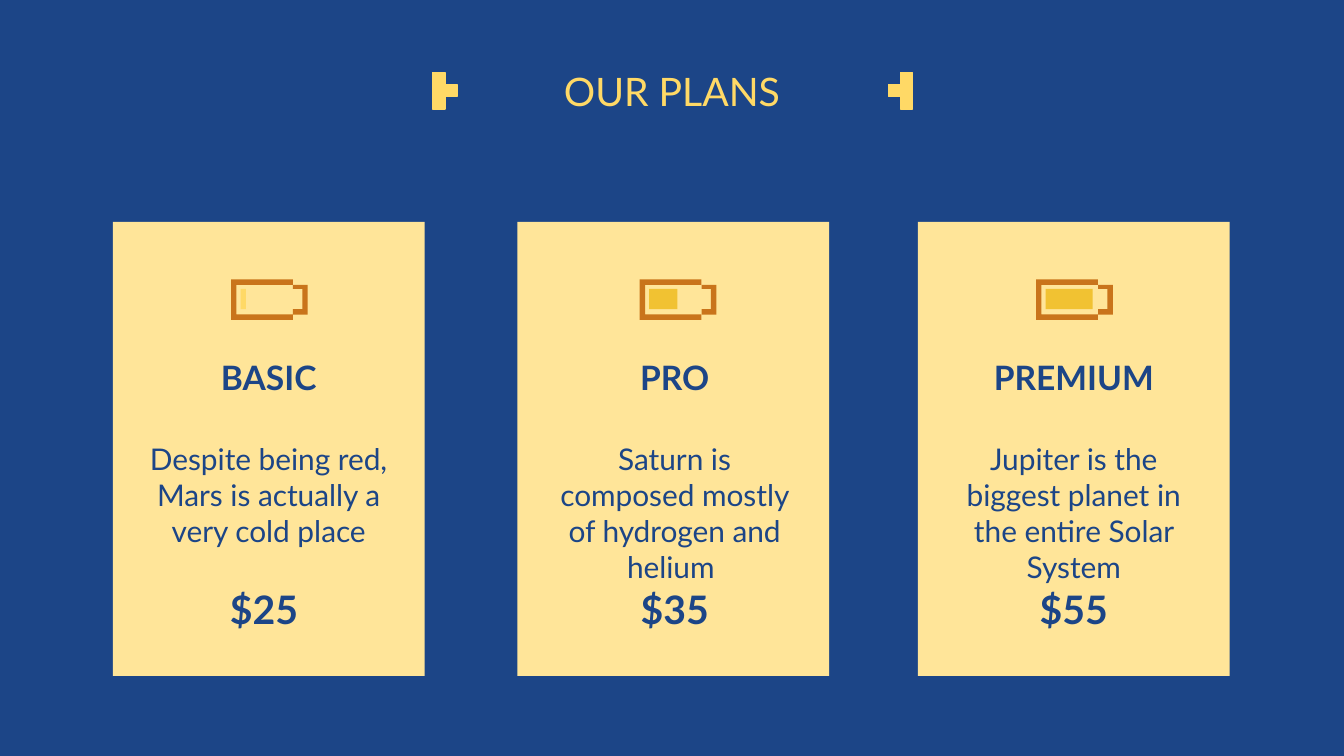
"""Build the "Our plans" pricing slide with three plan cards."""
from pptx import Presentation
from pptx import util as u
from pptx.dml.color import RGBColor
from pptx.enum import shapes, text

PLANS = [
    dict(name="BASIC", about="Despite being red, Mars is actually a very cold place",
         price="$25 ", card=0.84, copy=1, battery=1.72, charge=0.04, level="FFD966"),
    dict(name="PRO", about="Saturn is composed mostly of hydrogen and helium ",
         price="$35", card=3.85, copy=4.02, battery=4.76, charge=0.21, level="F1C232"),
    dict(name="PREMIUM", about="Jupiter is the biggest planet in the entire Solar System",
         price="$55", card=6.83, copy=6.99, battery=7.71, charge=0.35, level="F1C232"),
]
THEME = dict(font="Lato", navy="1C4587", card="FFE599", gold="FFD966", rust="C9741B",
             title=21, name=18, about=16, price=21)
BRACKETS = [(3.22, 1), (6.7, -1)]
PIXEL = 0.09
BATTERY_TOP = 2.08
CASE = [(0, 0), (0, 0.3), (0.46, 0.3), (0.46, 0.26), (0.57, 0.26),
        (0.57, 0.04), (0.46, 0.04), (0.46, 0)]
SHELL = [(0, 0), (0, 0.3), (0.46, 0.3), (0.46, 0.26), (0.04, 0.26),
         (0.04, 0.04), (0.46, 0.04), (0.46, 0)]
CAP = [(0.46, 0.04), (0.46, 0.07), (0.53, 0.07), (0.53, 0.22), (0.46, 0.22),
       (0.46, 0.26), (0.57, 0.26), (0.57, 0.04)]


def paint(sp, color, line=False):
    sp.shadow.inherit = False
    sp.fill.solid()
    sp.fill.fore_color.rgb = RGBColor.from_string(color)
    if line:
        sp.line.color.rgb = RGBColor.from_string(color)
        sp.line.width = u.Pt(0.75)
    else:
        sp.line.fill.background()


def rect(parent, x, y, w, h, color, line=False):
    sp = parent.add_shape(shapes.MSO_SHAPE.RECTANGLE, *map(u.Inches, (x, y, w, h)))
    paint(sp, color, line)


def outline(parent, x, y, points, color):
    pts = [(u.Inches(x + dx), u.Inches(y + dy)) for dx, dy in points]
    fb = parent.build_freeform(*pts[0])
    fb.add_line_segments(pts[1:], close=True)
    paint(fb.convert_to_shape(), color)


def write(sp, words, size, color, anchor, bold=False):
    tf = sp.text_frame
    tf.text = words
    tf.word_wrap = True
    tf.auto_size = text.MSO_AUTO_SIZE.NONE
    tf.vertical_anchor = anchor
    tf.margin_left = tf.margin_right = tf.margin_top = tf.margin_bottom = u.Inches(0.1)
    p = tf.paragraphs[0]
    p.alignment = text.PP_ALIGN.CENTER
    font = p.runs[0].font
    font.name, font.size, font.bold = THEME["font"], u.Pt(size), bold
    font.color.rgb = RGBColor.from_string(color)


def label(s, plan, key, y, h, anchor, bold):
    sp = s.shapes.add_textbox(*map(u.Inches, (plan["copy"], y, 2, h)))
    write(sp, plan[key], THEME[key], THEME["navy"], anchor, bold)


def battery(s, plan):
    parts = s.shapes.add_group_shape().shapes
    x = plan["battery"]
    for points, color in ((CASE, "card"), (SHELL, "rust"), (CAP, "rust")):
        outline(parts, x, BATTERY_TOP, points, THEME[color])
    rect(parts, x + 0.07, BATTERY_TOP + 0.07, plan["charge"], 0.15, plan["level"])


def bracket(s, x, direction):
    parts = s.shapes.add_group_shape().shapes
    for col, row in ((0, 0), (0, 1), (0, 2), (direction, 1)):
        rect(parts, x + col * PIXEL, 0.54 + row * PIXEL, PIXEL, PIXEL, THEME["gold"], True)


def main():
    prs = Presentation()
    prs.slide_width = u.Inches(10)
    prs.slide_height = prs.slide_width * 9 // 16
    s = prs.slides.add_slide(prs.slide_layouts[5])
    s.background.fill.solid()
    s.background.fill.fore_color.rgb = RGBColor.from_string(THEME["navy"])

    title = s.shapes.title
    title.left, title.top, title.width, title.height = map(u.Inches, (0.34, 0.32, 9.32, 0.63))
    write(title, "OUR PLANS", THEME["title"], THEME["gold"], text.MSO_ANCHOR.BOTTOM)

    for plan in PLANS:
        rect(s.shapes, plan["card"], 1.65, 2.32, 3.38, THEME["card"])
        battery(s, plan)
        label(s, plan, "name", 2.48, 0.65, text.MSO_ANCHOR.MIDDLE, True)
        label(s, plan, "about", 3.18, 1, text.MSO_ANCHOR.TOP, False)
        label(s, plan, "price", 4.29, 0.48, text.MSO_ANCHOR.MIDDLE, True)

    for x, direction in BRACKETS:
        bracket(s, x, direction)
    prs.save("out.pptx")


if __name__ == "__main__":
    main()
